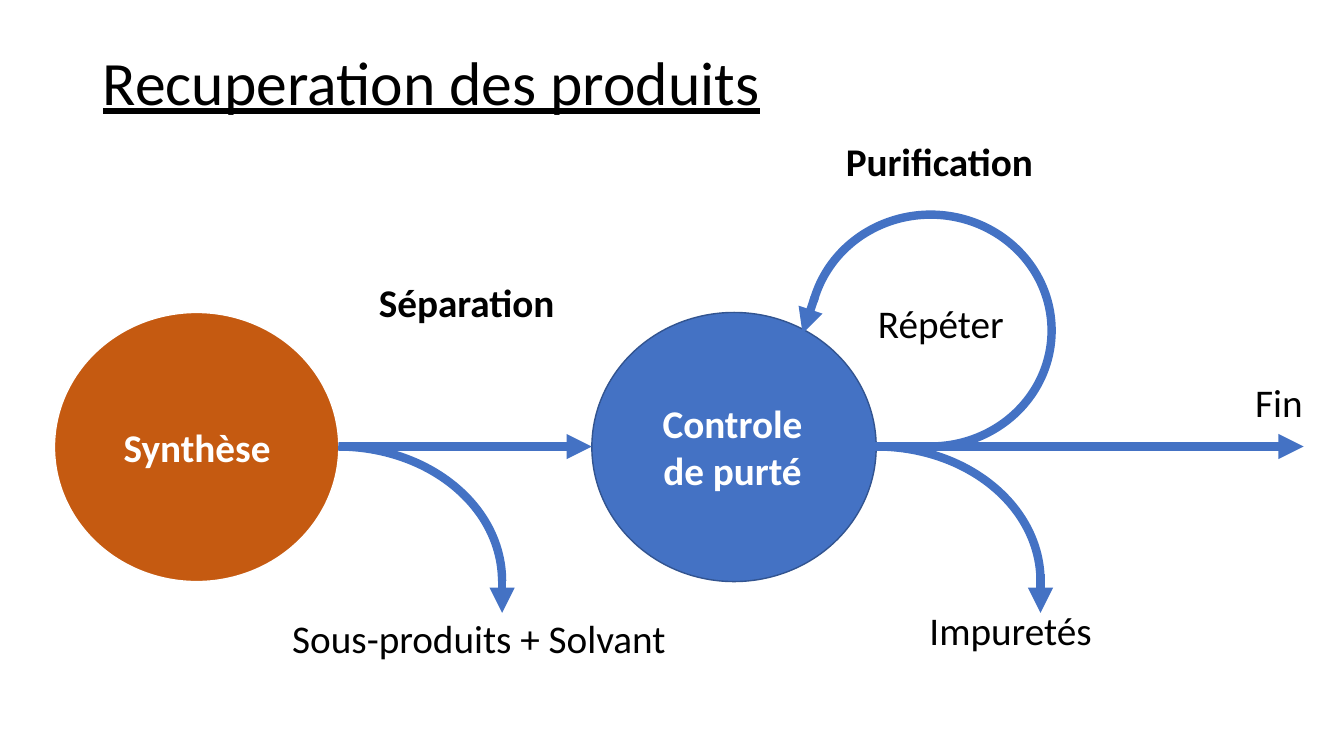
"""Builds the slide on product recovery: synthesis, separation and purification."""
import pptx
import pptx.util
import pptx.dml.color
import pptx.enum.shapes
import pptx.enum.text
import pptx.oxml
import pptx.oxml.ns

PX = 9144
THEME = {
    "font": "Calibri", "title": 44, "label": 28, "arrow": 6, "edge": 1,
    "black": "000000", "white": "FFFFFF", "blue": "4472C4",
    "navy": "325490", "rust": "C55A11",
}
SHAPE = pptx.enum.shapes.MSO_SHAPE
ALIGN = pptx.enum.text.PP_ALIGN


def tint(name):
    return pptx.dml.color.RGBColor.from_string(THEME[name])


def write(frame, text, size="label", color="black", bold=False, under=False,
          align=ALIGN.LEFT, space=1.0, wrap=True):
    frame.word_wrap = wrap
    part = frame.paragraphs[0]
    part.alignment = align
    part.line_spacing = space
    run = part.add_run()
    run.text = text
    font = run.font
    font.name = THEME["font"]
    font.size = pptx.util.Pt(THEME[size])
    font.bold = bold
    font.underline = under
    font.color.rgb = tint(color)


deck = pptx.Presentation()
deck.slide_width = 1333 * PX
deck.slide_height = 750 * PX
slide = deck.slides.add_slide(deck.slide_layouts[5])
shapes = slide.shapes

title = shapes.title
title.left, title.top, title.width, title.height = [n * PX for n in (92, 40, 1150, 89)]
title.text_frame.vertical_anchor = pptx.enum.text.MSO_ANCHOR.MIDDLE
write(title.text_frame, "Recuperation des produits", size="title", under=True, space=0.9)

for left, fill, edge in [(54, "rust", "white"), (587, "blue", "navy")]:
    disc = shapes.add_shape(SHAPE.OVAL, left * PX, 310 * PX, 282 * PX, 267 * PX)
    disc.shadow.inherit = False
    disc.fill.solid()
    disc.fill.fore_color.rgb = tint(fill)
    disc.line.color.rgb = tint(edge)
    disc.line.width = pptx.util.Pt(THEME["edge"])

curves = [
    (173, 443, 325, 267, 0, 162),
    (707, 443, 325, 267, 0, 162),
    (808, 208, 230, 240, 90, 62.47),
]
for left, top, width, height, turn, start in curves:
    arc = shapes.add_shape(SHAPE.ARC, left * PX, top * PX, width * PX, height * PX)
    arc.shadow.inherit = False
    arc.rotation = turn
    arc.adjustments[0] = start
    arc.adjustments[1] = 0
    arc.fill.background()
    arc.line.color.rgb = tint("blue")
    arc.line.width = pptx.util.Pt(THEME["arrow"])

arrows = [
    (336, 443, 587, 443),
    (860, 443, 1293, 443),
    (498, 569, 498, 608),
    (1032, 569, 1032, 608),
    (808, 295, 796, 331),
]
for ends in arrows:
    arrow = shapes.add_connector(
        pptx.enum.shapes.MSO_CONNECTOR.STRAIGHT, *[n * PX for n in ends])
    arrow.line.color.rgb = tint("blue")
    arrow.line.width = pptx.util.Pt(THEME["arrow"])
    head = pptx.oxml.parse_xml(
        f'<a:tailEnd {pptx.oxml.ns.nsdecls("a")} type="triangle"/>')
    arrow.line._get_or_add_ln().append(head)
    arrow._element.spPr.append(
        pptx.oxml.parse_xml(f'<a:effectLst {pptx.oxml.ns.nsdecls("a")}/>'))

plain = {"wrap": False}
strong = {"wrap": False, "bold": True}
inner = {"color": "white", "bold": True, "align": ALIGN.CENTER}
labels = [
    ("Synthèse", 105, 415, 181, 57, inner),
    ("Controle de purté", 636, 391, 181, 103, inner),
    ("Séparation", 366, 271, 196, 57, strong),
    ("Purification", 829, 131, 208, 57, strong),
    ("Répéter", 861, 292, 147, 57, plain),
    ("Fin", 1235, 370, 68, 57, plain),
    ("Sous-produits + Solvant", 280, 605, 392, 57, plain),
    ("Impuretés", 912, 597, 183, 57, plain),
]
for text, left, top, width, height, style in labels:
    box = shapes.add_textbox(left * PX, top * PX, width * PX, height * PX)
    box.text_frame.auto_size = pptx.enum.text.MSO_AUTO_SIZE.SHAPE_TO_FIT_TEXT
    write(box.text_frame, text, **style)

deck.save("out.pptx")
